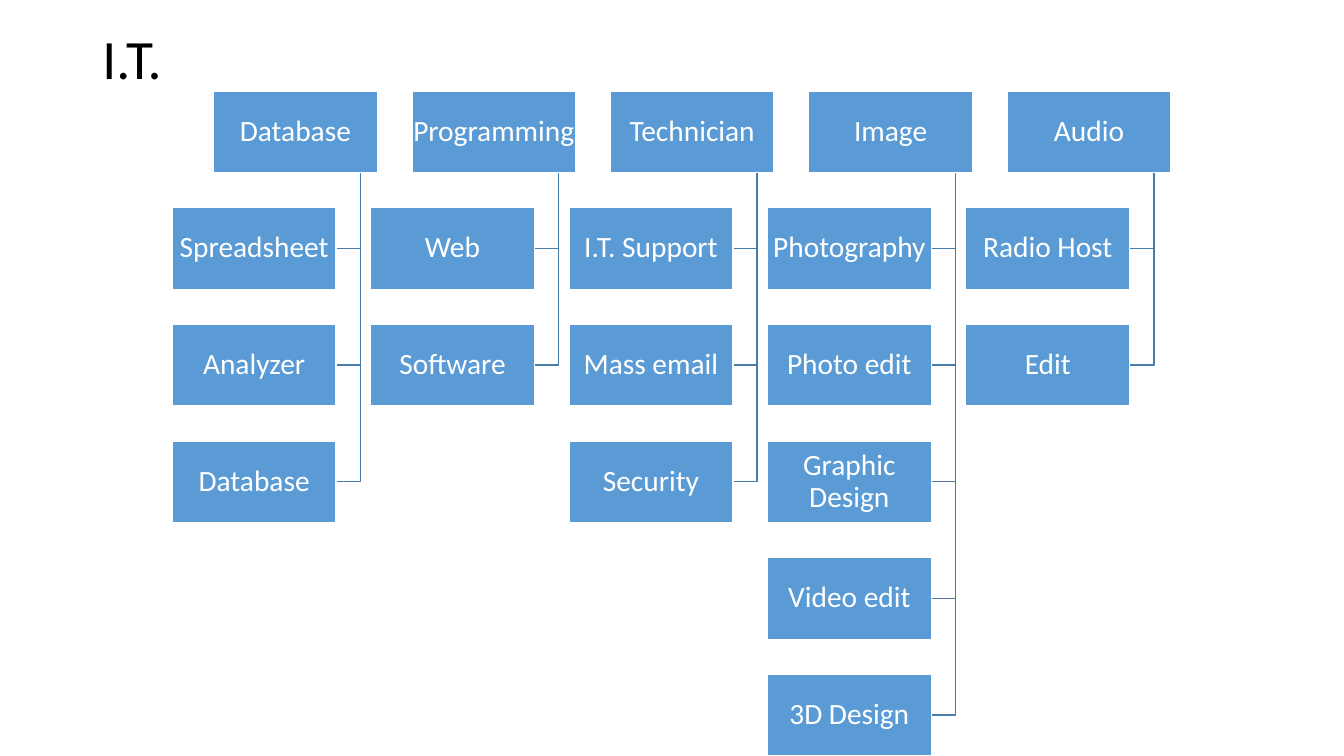
from pptx import Presentation
from pptx.dml.color import RGBColor
from pptx.enum.shapes import MSO_SHAPE
from pptx.enum.text import MSO_ANCHOR, PP_ALIGN
from pptx.util import Cm, Pt

COLORS = {"box": "5B9BD5", "edge": "FFFFFF", "branch": "497CAB",
          "title": "000000", "label": "FFFFFF"}
LEFT, TOP = 5.38, 2.29
COL_STEP, ROW_STEP = 5.0, 2.94
BOX_W, BOX_H = 4.13, 2.06
OUTDENT, BRANCH = 1.04, 0.61

FIELDS = {
    "Database": ["Spreadsheet", "Analyzer", "Database"],
    "Programming": ["Web", "Software"],
    "Technician": ["I.T. Support", "Mass email", "Security"],
    "Image": ["Photography", "Photo edit", "Graphic Design", "Video edit", "3D Design"],
    "Audio": ["Radio Host", "Edit"],
}


def write(text, *, tf, size, color, align=PP_ALIGN.LEFT, inset=None):
    tf.word_wrap = True
    tf.vertical_anchor = MSO_ANCHOR.MIDDLE
    if inset is not None:
        tf.margin_left = tf.margin_right = tf.margin_top = tf.margin_bottom = Cm(inset)
    p = tf.paragraphs[0]
    p.alignment = align
    p.line_spacing = 0.9
    r = p.add_run()
    r.text = text
    r.font.name = "Calibri"
    r.font.size = Pt(size)
    r.font.color.rgb = RGBColor.from_string(COLORS[color])


def add_box(text, x, y):
    sp = s.shapes.add_shape(MSO_SHAPE.RECTANGLE, Cm(x), Cm(y), Cm(BOX_W), Cm(BOX_H))
    sp.shadow.inherit = False
    sp.fill.solid()
    sp.fill.fore_color.rgb = RGBColor.from_string(COLORS["box"])
    sp.line.color.rgb = RGBColor.from_string(COLORS["edge"])
    sp.line.width = Pt(1)
    write(text, tf=sp.text_frame, size=21, color="label", align=PP_ALIGN.CENTER, inset=0.03)


prs = Presentation()
prs.slide_width, prs.slide_height = Cm(33.87), Cm(19.05)
s = prs.slides.add_slide(prs.slide_layouts[6])

title = s.shapes.add_textbox(Cm(2.33), Cm(0.79), Cm(29.21), Cm(1.5))
write("I.T.", tf=title.text_frame, size=39.6, color="title")

for col, (field, jobs) in enumerate(FIELDS.items()):
    x = LEFT + col * COL_STEP
    job_x = x - OUTDENT
    job_right = job_x + BOX_W
    trunk_x = job_right + BRANCH
    job_tops = [TOP + row * ROW_STEP for row in range(1, len(jobs) + 1)]

    for y in reversed(job_tops):
        middle = Cm(y + BOX_H / 2)
        outline = s.shapes.build_freeform(Cm(trunk_x), Cm(TOP + BOX_H))
        outline.add_line_segments([(Cm(trunk_x), middle), (Cm(job_right), middle)], close=False)
        sp = outline.convert_to_shape()
        sp.shadow.inherit = False
        sp.fill.background()
        sp.line.color.rgb = RGBColor.from_string(COLORS["branch"])
        sp.line.width = Pt(1)

    add_box(field, x, TOP)
    for job, y in zip(jobs, job_tops):
        add_box(job, job_x, y)

prs.save("out.pptx")
